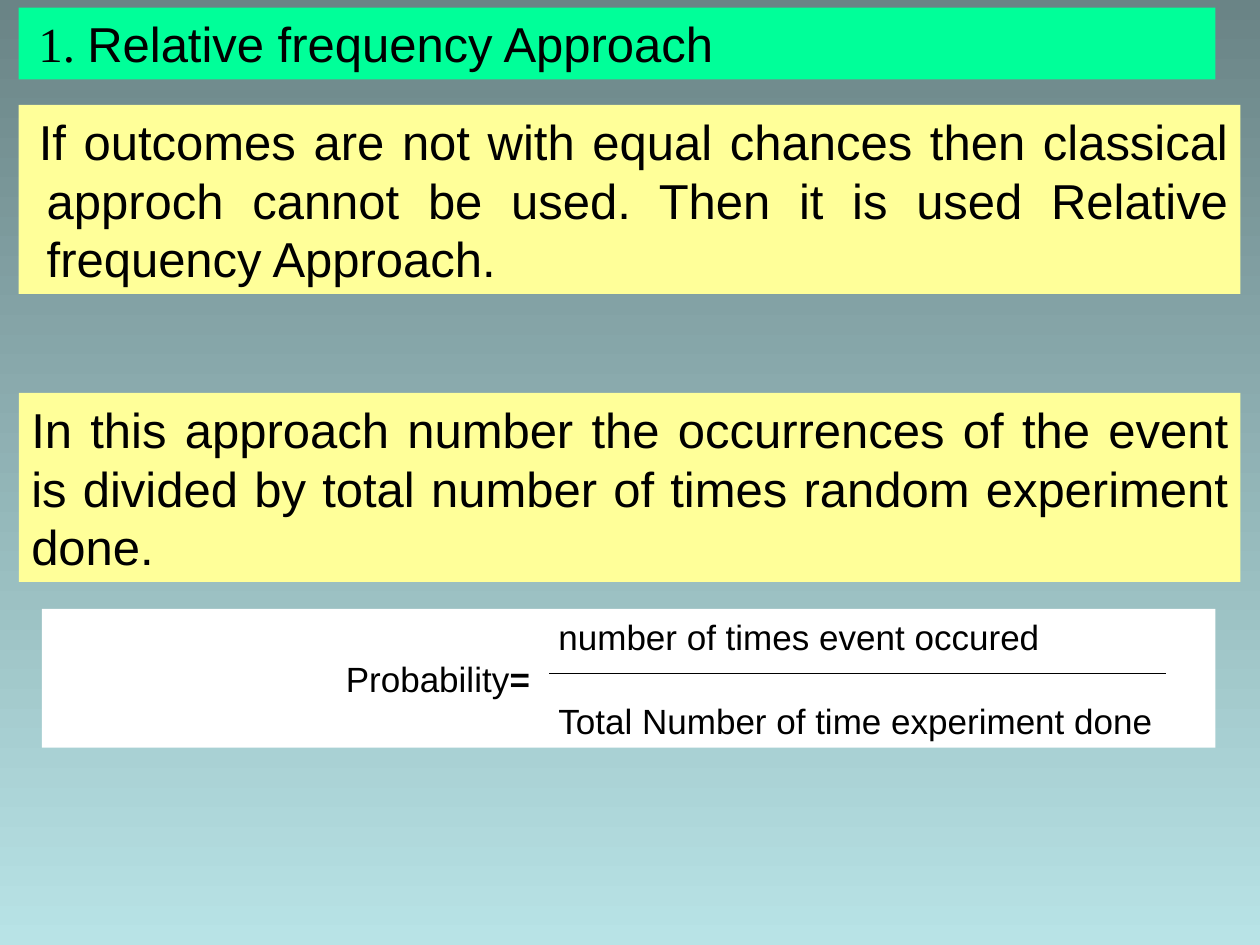
from pptx import Presentation
from pptx.dml.color import RGBColor
from pptx.enum.shapes import MSO_CONNECTOR as Conn
from pptx.enum.text import MSO_AUTO_SIZE as Auto, PP_ALIGN as Align
from pptx.oxml.ns import qn
from pptx.util import Pt
from lxml.etree import SubElement


def color(code):
    return RGBColor.from_string(code)


def write(para, text, size=28, font="Arial", bold=False, align=Align.JUSTIFY, left=0, hang=0):
    para.alignment = align
    props = para._p.get_or_add_pPr()
    props.set("marL", str(Pt(left)))
    props.set("indent", str(Pt(hang)))
    run = para.add_run()
    run.text = text
    run.font.size = Pt(size)
    run.font.name = font
    run.font.bold = bold
    run.font.color.rgb = color("000000")


deck = Presentation()
deck.slide_width, deck.slide_height = Pt(720), Pt(540)
slide = deck.slides.add_slide(deck.slide_layouts[6])

back = slide.background.fill
back.gradient()
back.gradient_angle = 270
for stop, code, place in zip(back.gradient_stops, ("6A8486", "B8E3E6"), (0, 1)):
    stop.color.rgb = color(code)
    stop.position = place

group = slide.shapes.add_group_shape()
frames = []
for host, x, y, wide, high, code in (
    (slide, 10.6, 4.4, 684, 41, "00FF99"),
    (slide, 10.6, 60, 698.2, 108, "FFFF99"),
    (slide, 10.8, 224.6, 698, 108, "FFFF99"),
    (group, 24, 348, 670.5, 79.2, "FFFFFF"),
):
    box = host.shapes.add_textbox(Pt(x), Pt(y), Pt(wide), Pt(high))
    box.fill.solid()
    box.fill.fore_color.rgb = color(code)
    frame = box.text_frame
    frame.word_wrap = True
    frame.auto_size = Auto.SHAPE_TO_FIT_TEXT
    frames.append(frame)

title, reason, method, ratio = frames
head = title.paragraphs[0]
write(head, "1. ", font="Times New Roman", align=Align.LEFT, left=27.36, hang=-23.04)
write(head, "Relative frequency Approach", align=Align.LEFT, left=27.36, hang=-23.04)
write(reason.paragraphs[0], "If outcomes are not with equal chances then classical approch cannot be used. "
      "Then it is used Relative frequency Approach.", left=9, hang=-4.5)
write(method.paragraphs[0], "In this approach number the occurrences of the event is divided by "
      "total number of times random experiment done.")

write(ratio.paragraphs[0], "number of times event occured", size=20, left=288)
middle = ratio.add_paragraph()
write(middle, "Probability", size=20, left=166.5)
write(middle, "=", size=20, bold=True, left=166.5)
write(ratio.add_paragraph(), "Total Number of time experiment done", size=20, left=288)

bar = group.shapes.add_connector(Conn.STRAIGHT, Pt(314), Pt(385), Pt(666), Pt(385))
bar.line.color.rgb = color("000000")
bar.line.width = Pt(0.5)
SubElement(bar._element.spPr, qn("a:effectLst"))

deck.save("out.pptx")
